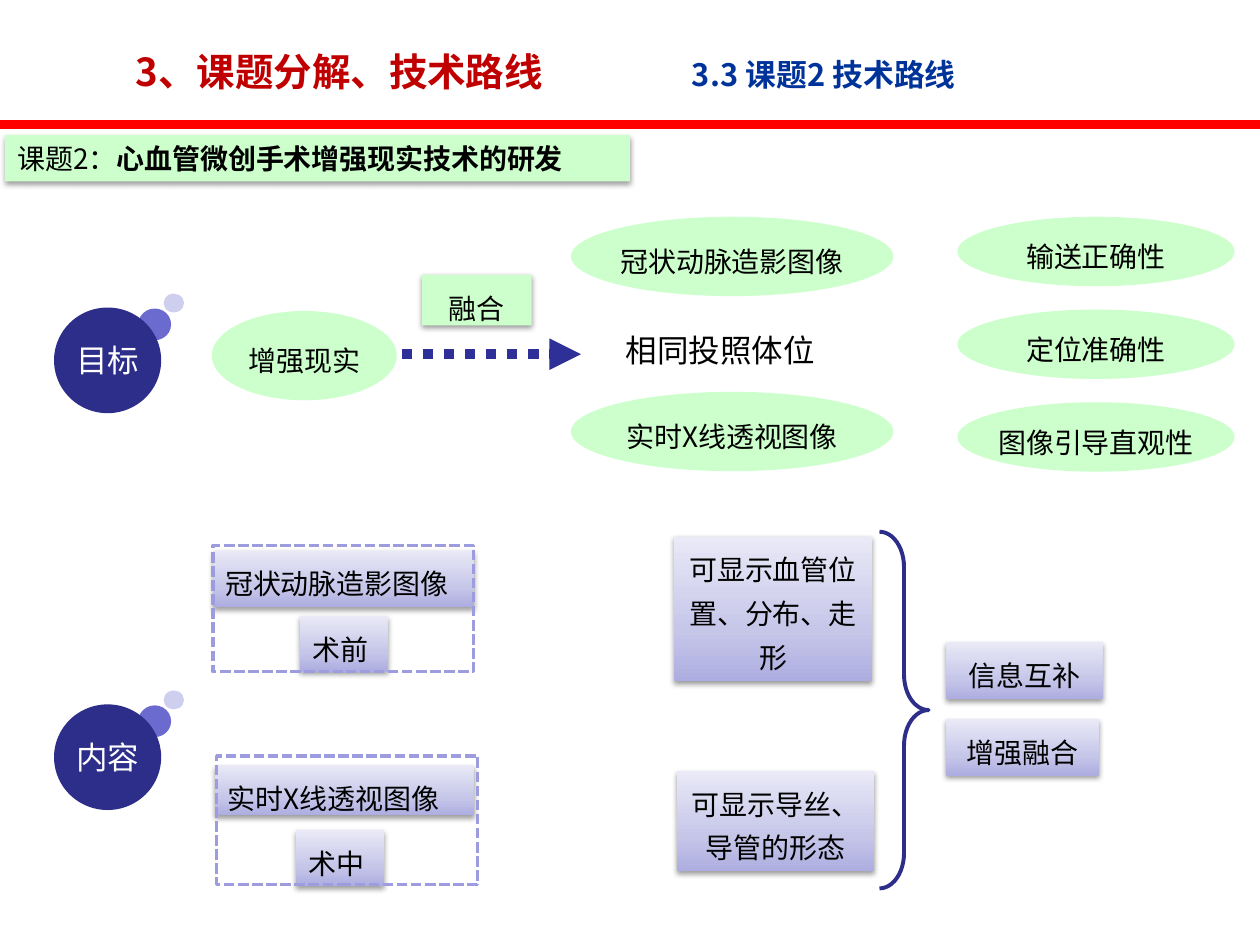
from copy import deepcopy
from dataclasses import dataclass

from lxml.etree import SubElement
from pptx import Presentation
from pptx.dml.color import RGBColor
from pptx.enum.dml import MSO_LINE
from pptx.enum.shapes import MSO_CONNECTOR, MSO_SHAPE
from pptx.enum.text import MSO_ANCHOR, MSO_AUTO_SIZE, PP_ALIGN
from pptx.oxml.ns import qn
from pptx.util import Cm, Pt


@dataclass(frozen=True)
class Theme:
    font: str = "Noto Sans CJK SC"
    latin: str = "Arial"
    red: str = "FF0000"
    head: str = "C00000"
    sub: str = "003399"
    ink: str = "000000"
    white: str = "FFFFFF"
    green: str = "CCFFCC"
    navy: str = "2D2D8A"
    arrow: str = "2F2F98"
    mid: str = "6B6BCF"
    pale: str = "CECEEF"
    dash: str = "9C9CDF"
    fade: tuple = ((0, "ADADE1"), (0.35, "C6C6E9"), (1, "E9E9F7"))
    title: float = 22
    note: float = 17.6
    large: float = 18
    body: float = 16


LOOK = Theme()
LEFT, MID = PP_ALIGN.LEFT, PP_ALIGN.CENTER
ROUND = {
    "margin_left": 0, "margin_top": 0, "margin_right": 0, "margin_bottom": 0,
    "vertical_anchor": MSO_ANCHOR.MIDDLE, "word_wrap": False,
}
GROW = {
    "word_wrap": True, "vertical_anchor": MSO_ANCHOR.TOP,
    "auto_size": MSO_AUTO_SIZE.SHAPE_TO_FIT_TEXT,
}
HEAD = {"word_wrap": True, "vertical_anchor": MSO_ANCHOR.MIDDLE}
LOOSE = {"line_spacing": 1.3}


def apply(item, form):
    for name, value in form.items():
        setattr(item, name, value)


def tint(hue):
    return RGBColor.from_string(hue)


def write(shape, runs, frame, para):
    text = shape.text_frame
    apply(text, frame)
    line = text.paragraphs[0]
    apply(line, para)
    for words, size, hue, font, bold in runs:
        run = line.add_run()
        run.text = words
        apply(run.font, {"size": Pt(size), "name": font, "bold": bold})
        run.font.color.rgb = tint(hue)
        east = SubElement(run.font._element, qn("a:ea"))
        east.set("typeface", LOOK.font)


def plain(words, size=LOOK.body, hue=LOOK.ink, bold=False):
    return [(words, size, hue, LOOK.font, bold)]


def shade(shape):
    drop = SubElement(shape._element.spPr.find(qn("a:effectLst")), qn("a:outerShdw"))
    form = {"blurRad": "40000", "dist": "20000", "dir": "5400000", "rotWithShape": "0"}
    for name, value in form.items():
        drop.set(name, value)
    hue = SubElement(drop, qn("a:srgbClr"), val=LOOK.ink)
    SubElement(hue, qn("a:alpha"), val="38000")


def blend(shape):
    fill = shape.fill
    fill.gradient()
    fill.gradient_angle = 90
    stops = shape._element.spPr.find(qn("a:gradFill")).find(qn("a:gsLst"))
    stops.append(deepcopy(stops[0]))
    for stop, (place, hue) in zip(fill.gradient_stops, LOOK.fade):
        stop.color.rgb = tint(hue)
        stop.position = place


def draw(shapes, kind, box, hue=None):
    shape = shapes.add_shape(kind, *map(Cm, box))
    shape.shadow.inherit = False
    shape.line.fill.background()
    if hue:
        shape.fill.solid()
        shape.fill.fore_color.rgb = tint(hue)
    else:
        shape.fill.background()
    return shape


def stroke(line, hue, width, dash=None):
    line.color.rgb = tint(hue)
    apply(line, {"width": Pt(width), "dash_style": dash})


def rule(shapes, start, end, hue, width, dash=None, tip=False):
    link = shapes.add_connector(MSO_CONNECTOR.STRAIGHT, *map(Cm, start + end))
    stroke(link.line, hue, width, dash)
    props = link._element.spPr
    if tip:
        SubElement(props.find(qn("a:ln")), qn("a:tailEnd"), type="triangle")
    SubElement(props, qn("a:effectLst"))


def label(shapes, box, runs, frame, para):
    write(shapes.add_textbox(*map(Cm, box)), runs, frame, para)


def oval(shapes, box, words):
    shape = draw(shapes, MSO_SHAPE.OVAL, box, LOOK.green)
    write(shape, plain(words), ROUND, {"alignment": MID, **LOOSE})


def card(shapes, box, runs, para):
    shape = draw(shapes, MSO_SHAPE.RECTANGLE, box, LOOK.green)
    shade(shape)
    write(shape, runs, GROW, para)


def panel(shapes, box, words, align=MID):
    shape = draw(shapes, MSO_SHAPE.RECTANGLE, box)
    blend(shape)
    shade(shape)
    write(shape, plain(words), GROW, {"alignment": align, **LOOSE})


def frame(shapes, box):
    shape = draw(shapes, MSO_SHAPE.RECTANGLE, box)
    stroke(shape.line, LOOK.dash, 2, MSO_LINE.SQUARE_DOT)


def brace(shapes, box):
    shape = draw(shapes, MSO_SHAPE.RIGHT_BRACE, box)
    shape.adjustments[0] = 0.72
    stroke(shape.line, LOOK.navy, 2.25)


def badge(shapes, top, words):
    group = shapes.add_group_shape().shapes
    draw(group, MSO_SHAPE.OVAL, (2.79, top + 0.3, 0.66, 0.64), LOOK.mid)
    draw(group, MSO_SHAPE.OVAL, (3.3, top, 0.41, 0.38), LOOK.pale)
    disc = draw(group, MSO_SHAPE.OVAL, (1.09, top + 0.28, 2.16, 2.13), LOOK.navy)
    write(disc, plain(words, LOOK.large, LOOK.white), ROUND, {"alignment": MID})


def header(shapes):
    rule(shapes, (0, 2.51), (25.4, 2.51), LOOK.red, 5)
    label(shapes, (2.49, 0.53, 10, 1.8),
          plain("3、课题分解、技术路线", LOOK.title, LOOK.head, True), HEAD, {})
    label(shapes, (13.7, 0.6, 9.6, 1.8),
          plain("3.3 课题2 技术路线", LOOK.note, LOOK.sub, True), HEAD, {})
    topic = "心血管微创手术增强现实技术的研发"
    runs = plain("课题2：") + [(topic, LOOK.body, LOOK.ink, LOOK.latin, True)]
    card(shapes, (0.1, 2.72, 12.6, 0.94), runs, {"alignment": LEFT})


def goals(shapes):
    badge(shapes, 5.92, "目标")
    for row, words in enumerate(("输送正确性", "定位准确性", "图像引导直观性")):
        oval(shapes, (19.3, 4.37 + 1.87 * row, 5.59, 1.4), words)
    for row, words in enumerate(("冠状动脉造影图像", "实时X线透视图像")):
        oval(shapes, (11.51, 4.37 + 3.53 * row, 6.5, 1.6), words)
    oval(shapes, (4.27, 6.27, 3.73, 1.8), "增强现实")
    card(shapes, (8.51, 5.54, 2.21, 1.02), plain("融合"), {"alignment": MID, **LOOSE})
    rule(shapes, (8.1, 7.14), (11.71, 7.14), LOOK.arrow, 6, MSO_LINE.ROUND_DOT, True)
    label(shapes, (12.37, 6.32, 4.37, 1.24), plain("相同投照体位", LOOK.large),
          {**GROW, "word_wrap": False}, LOOSE)


def tasks(shapes):
    badge(shapes, 13.92, "内容")
    panel(shapes, (4.29, 11.1, 5.26, 1.14), "冠状动脉造影图像", LEFT)
    panel(shapes, (6.05, 12.42, 1.78, 1.12), "术前", LEFT)
    frame(shapes, (4.29, 11, 5.26, 2.54))
    panel(shapes, (4.34, 15.42, 5.21, 1.02), "实时X线透视图像", LEFT)
    panel(shapes, (5.97, 16.74, 1.78, 1.12), "术中", LEFT)
    frame(shapes, (4.37, 15.24, 5.26, 2.59))
    brace(shapes, (17.73, 10.72, 0.99, 7.19))
    panel(shapes, (13.59, 10.82, 3.99, 2.92), "可显示血管位置、分布、走形")
    panel(shapes, (13.64, 15.54, 3.99, 2.03), "可显示导丝、导管的形态")
    panel(shapes, (19.08, 12.95, 3.15, 1.14), "信息互补")
    panel(shapes, (19.08, 14.5, 3.07, 1.14), "增强融合")


def main():
    deck = Presentation()
    apply(deck, {"slide_width": Cm(25.4), "slide_height": Cm(19.05)})
    shapes = deck.slides.add_slide(deck.slide_layouts[6]).shapes
    for part in (header, goals, tasks):
        part(shapes)
    deck.save("out.pptx")


if __name__ == "__main__":
    main()
